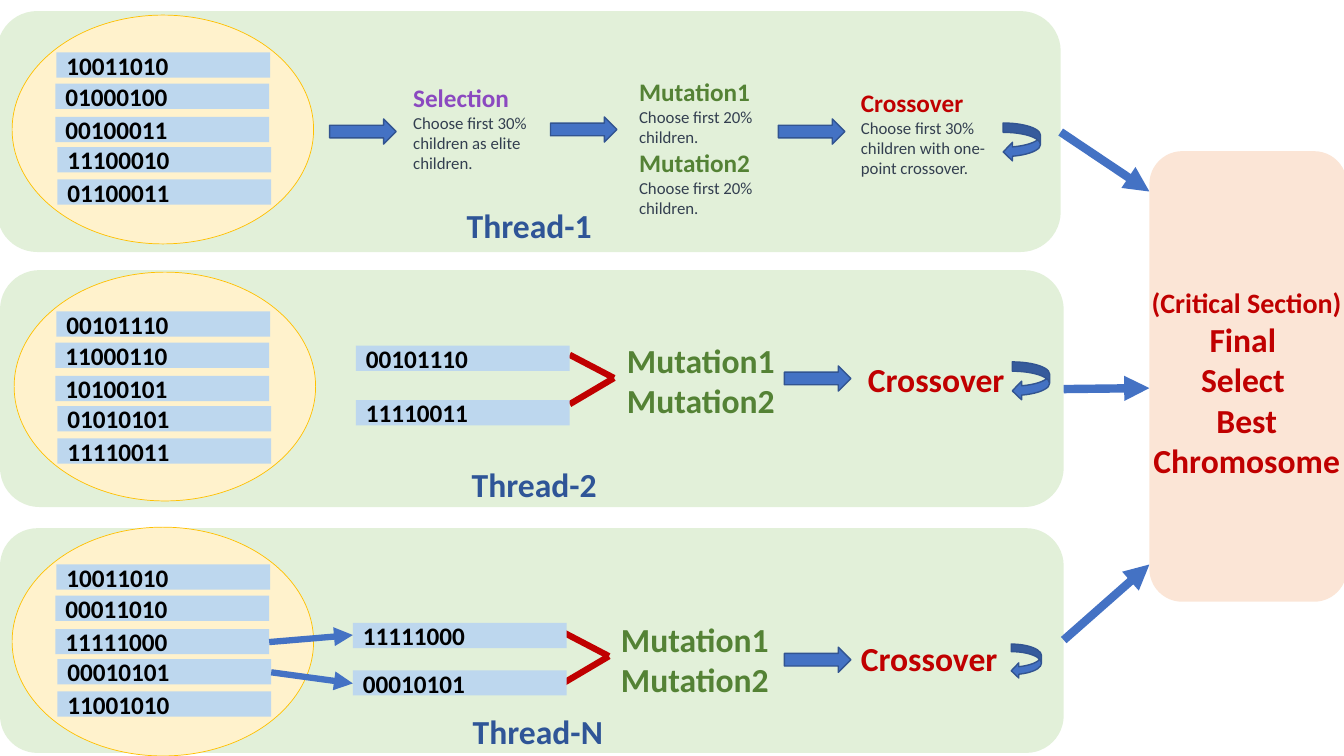
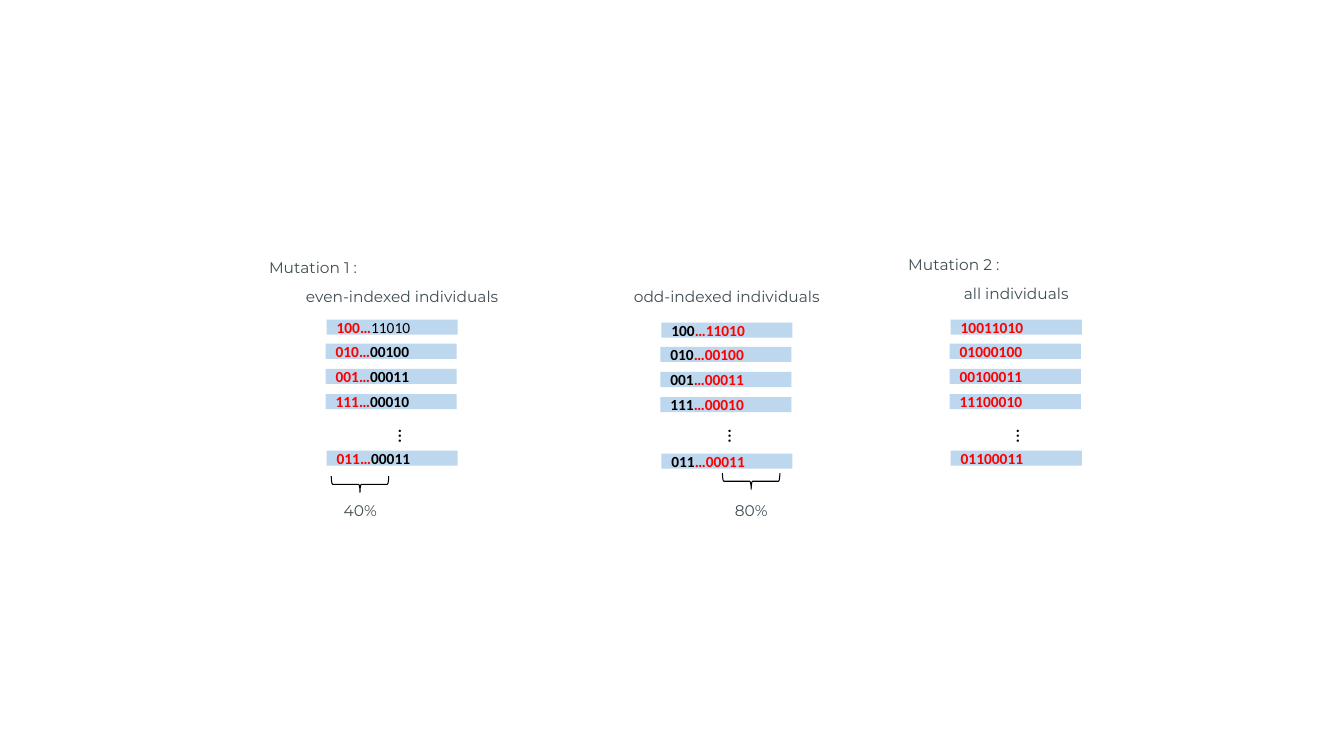
from pptx import Presentation
from pptx.dml.color import RGBColor
from pptx.enum import shapes, text
from pptx.oxml import ns
from pptx.util import Inches, Pt
from lxml import etree

C = {"panel": "E2F0D9", "pool": "FFF2CC", "gold": "FFC000", "strip": "BDD7EE",
     "blue": "4472C4", "edge": "325491", "navy": "2F5597", "green": "548235",
     "dark_red": "C00000", "red": "FF0000", "violet": "8B49C0", "slate": "333F50",
     "peach": "FBE5D6", "label": "3F4D53", "black": "000000"}
M = shapes.MSO_SHAPE
LEFT, CENTER, JUSTIFY = (text.PP_ALIGN.LEFT, text.PP_ALIGN.CENTER, text.PP_ALIGN.JUSTIFY)


def shape(s, kind, at, fill=None, line=None, weight=1):
    sp = s.shapes.add_shape(kind, *map(Inches, at))
    sp.shadow.inherit = False
    if fill:
        sp.fill.solid()
        sp.fill.fore_color.rgb = RGBColor.from_string(C[fill])
    else:
        sp.fill.background()
    if line:
        sp.line.color.rgb = RGBColor.from_string(C[line])
        sp.line.width = Pt(weight)
    else:
        sp.line.fill.background()
    return sp


def write(s, at, paragraphs, size=18, color="black", bold=True, font="Calibri",
          align=LEFT, fill=None, vert=None):
    if fill:
        sp = shape(s, M.RECTANGLE, at, fill)
    else:
        sp = s.shapes.add_textbox(*map(Inches, at))
    tf = sp.text_frame
    tf.word_wrap = True
    if fill:
        tf.vertical_anchor = text.MSO_ANCHOR.MIDDLE
    else:
        tf.auto_size = text.MSO_AUTO_SIZE.SHAPE_TO_FIT_TEXT
    if vert:
        sp.element.txBody.bodyPr.set("vert", vert)
    for i, runs in enumerate(paragraphs):
        p = tf.paragraphs[0] if i == 0 else tf.add_paragraph()
        p.alignment = align
        for words, own in [(runs, {})] if isinstance(runs, str) else runs:
            r = p.add_run()
            r.text = words
            r.font.name = font
            r.font.size = Pt(own.get("size", size))
            r.font.bold = own.get("bold", bold)
            r.font.color.rgb = RGBColor.from_string(C[own.get("color", color)])


prs = Presentation()
prs.slide_width, prs.slide_height = Inches(13.33), Inches(7.5)
blank = prs.slide_layouts[6]

s = prs.slides.add_slide(blank)
threads = [
    ("Thread-1", (-0.03, 0.11, 10.55, 2.39), (0.12, 0.15), (4.53, 1.98), 0.52,
     ["10011010", "01000100", "00100011", "11100010", "01100011"]),
    ("Thread-2", (0, 2.68, 10.55, 2.35), (0.14, 2.7), (4.58, 4.55), 3.09,
     ["00101110", "11000110", "10100101", "01010101", "11110011"]),
    ("Thread-N", (0, 5.24, 10.55, 2.23), (0.12, 5.23), (4.59, 7), 5.6,
     ["10011010", "00011010", "11111000", "00010101", "11001010"]),
]
strip_offsets = [(0.56, 0), (0.55, 0.31), (0.55, 0.64), (0.57, 0.94), (0.57, 1.26)]
for name, panel, pool, label, top, genes in threads:
    shape(s, M.ROUNDED_RECTANGLE, panel, "panel")
    shape(s, M.OVAL, (*pool, 2.99, 2.27), "pool", "gold", 0.5)
    write(s, (*label, 1.52, 0.5), [name], size=24, color="navy")
    for (x, dy), gene in zip(strip_offsets, genes):
        write(s, (x, top + dy, 2.12, 0.25), [gene], align=JUSTIFY, fill="strip")

connectors = [
    (2.67, 6.37, 3.5, 6.3, "blue", 4.5), (2.69, 6.67, 3.5, 6.78, "blue", 4.5),
    (5.65, 3.52, 6.09, 3.75, "dark_red", 4.5), (6.09, 3.75, 5.65, 4.01, "dark_red", 4.5),
    (5.6, 6.28, 6.04, 6.51, "dark_red", 4.5), (6.04, 6.51, 5.6, 6.77, "dark_red", 4.5),
    (10.52, 1.31, 11.4, 1.9, "blue", 6), (10.55, 3.86, 11.4, 3.85, "blue", 6),
    (10.55, 6.35, 11.4, 5.6, "blue", 6),
]
for *ends, color, weight in connectors:
    line = s.shapes.add_connector(shapes.MSO_CONNECTOR.STRAIGHT, *map(Inches, ends))
    line.line.color.rgb = RGBColor.from_string(C[color])
    line.line.width = Pt(weight)
    if color == "blue":
        etree.SubElement(line.line._get_or_add_ln(), ns.qn("a:tailEnd"), type="triangle")
    etree.SubElement(line.element.spPr, ns.qn("a:effectLst"))

for x, y, gene in [(3.53, 3.43, "00101110"), (3.53, 3.97, "11110011"),
                   (3.5, 6.18, "11111000"), (3.5, 6.65, "00010101")]:
    write(s, (x, y, 2.12, 0.25), [gene], align=JUSTIFY, fill="strip")

for x, y in [(3.27, 1.18), (5.46, 1.16), (7.72, 1.18), (7.78, 3.63), (7.78, 6.42)]:
    shape(s, M.RIGHT_ARROW, (x, y, 0.66, 0.25), "blue", "edge")
for at in [(9.95, 1.22, 0.37, 0.38), (10.04, 3.59, 0.37, 0.38), (10.03, 6.39, 0.3, 0.34)]:
    shape(s, M.CURVED_LEFT_ARROW, at, "blue", "edge")

for x, y in [(6.12, 3.32), (6.06, 6.09)]:
    write(s, (x, y, 1.7, 0.91), ["Mutation1", "Mutation2"], size=24, color="green")
for x, y in [(8.51, 3.51), (8.44, 6.28)]:
    write(s, (x, y, 1.57, 0.5), ["Crossover"], size=24, color="dark_red")

detail = {"size": 12, "color": "slate", "bold": False}
steps = [
    ((4, 0.77, 1.57, 1.01), "violet",
     [("Selection", "Choose first 30% children as elite children.")]),
    ((6.24, 0.71, 1.7, 1.51), "green",
     [("Mutation1", "Choose first 20% children."), ("Mutation2", "Choose first 20% children.")]),
    ((8.44, 0.82, 1.57, 1.01), "dark_red",
     [("Crossover", "Choose first 30% children with one-point crossover.")]),
]
for at, color, parts in steps:
    paragraphs = [p for head, body in parts for p in (head, [(body, detail)])]
    write(s, at, paragraphs, color=color)

shape(s, M.ROUNDED_RECTANGLE, (11.4, 1.5, 1.96, 4.47), "peach")
write(s, (11.28, 2.78, 2.17, 2.05),
      [[("(Critical Section)", {"size": 20})], "Final ", "Select ", "Best Chromosome"],
      size=24, color="dark_red", align=CENTER)

s = prs.slides.add_slide(blank)
red, black, plain = {"color": "red"}, {"color": "black"}, {"color": "black", "bold": False}
ends = [("100", "11010"), ("010", "00100"), ("001", "00011"), ("111", "00010"), ("011", "00011")]
even = [[(a + "…", red), (b, plain if i == 0 else black)] for i, (a, b) in enumerate(ends)]
odd = [[(a, black), ("…" + b, red)] for a, b in ends]
every = [[(gene, red)] for gene in threads[0][-1]]
columns = [(3.23, 3.17, even, 3.76), (6.55, 3.2, odd, 7.03), (9.42, 3.17, every, 9.89)]
row_offsets = [(0.01, 0), (0, 0.24), (0, 0.49), (0, 0.74), (0.01, 1.3)]
for left, top, rows, dots in columns:
    for (dx, dy), runs in zip(row_offsets, rows):
        write(s, (left + dx, top + dy, 1.3, 0.15), [runs], size=11, align=JUSTIFY, fill="strip")
    write(s, (dots, 4.16, 0.44, 0.61), ["…"], size=14, bold=False, vert="eaVert")

for x, y in [(3.49, 4.52), (7.37, 4.49)]:
    brace = shape(s, M.RIGHT_BRACE, (x, y, 0.16, 0.57), line="black", weight=0.75)
    brace.rotation = 90

labels = [
    ("Mutation 1 :", 2.57, 2.51, 2.4, LEFT), ("Mutation 2 :", 8.91, 2.48, 2.4, LEFT),
    ("even-indexed individuals", 2.79, 2.8, 2.4, CENTER),
    ("odd-indexed individuals", 6.01, 2.8, 2.4, CENTER),
    ("all individuals", 8.88, 2.77, 2.4, CENTER),
    ("40%", 3.31, 4.92, 0.57, LEFT), ("80%", 7.19, 4.92, 0.57, LEFT),
]
for words, x, y, w, align in labels:
    write(s, (x, y, w, 0.29), [words], size=11, color="label", bold=False,
          font="Montserrat", align=align)

prs.save("out.pptx")
